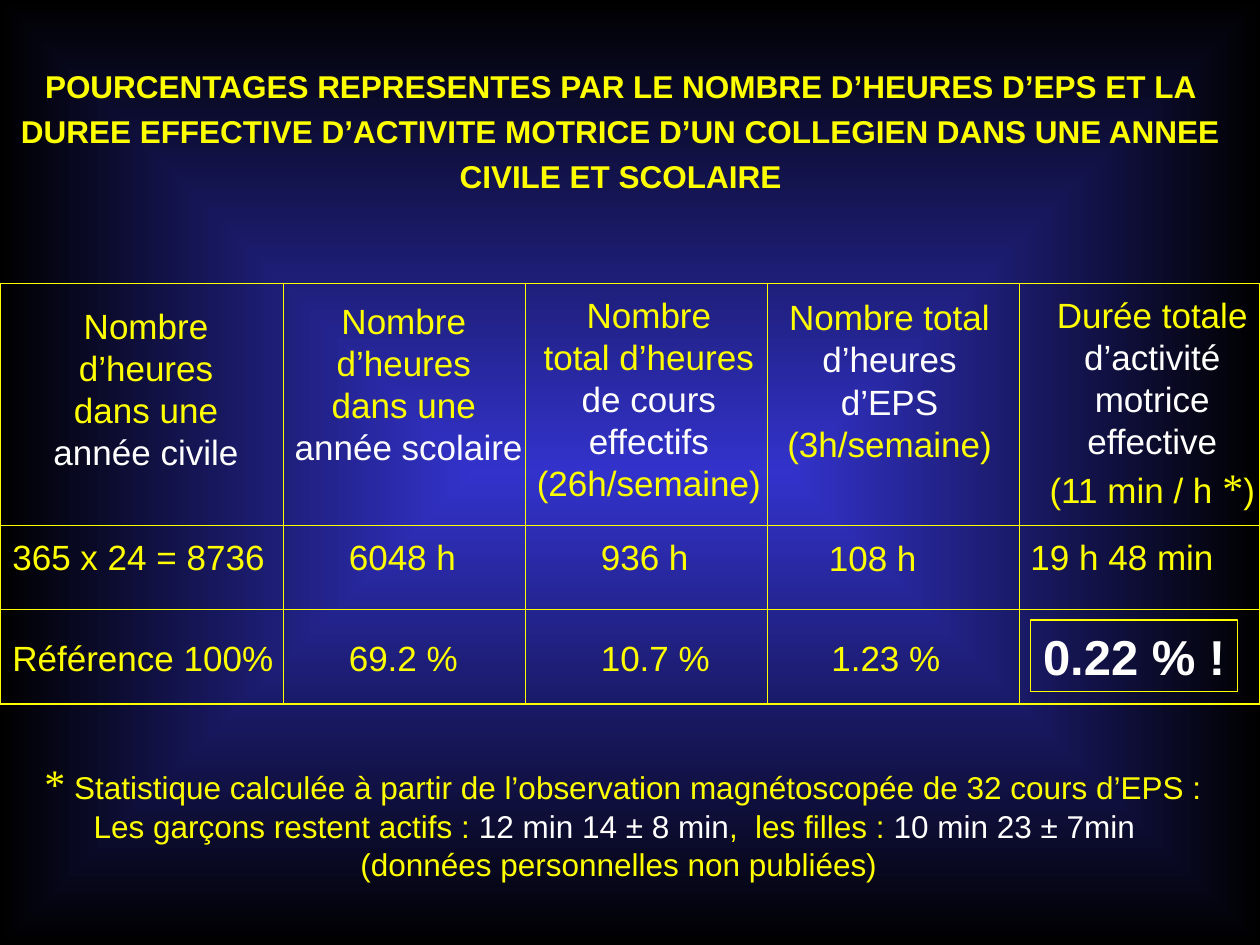
"""Build the slide on the share of PE hours in a pupil's year."""
from lxml import etree
from pptx import Presentation
from pptx import util as u
from pptx.dml.color import RGBColor
from pptx.enum import shapes, text
from pptx.oxml import ns

COLOURS = {"yellow": "FFFF00", "white": "FFFFFF", "blue": "3333CC", "black": "000000"}
BODY = {"name": "Arial", "size": u.Pt(20), "bold": False, "colour": "yellow"}
WHITE = {"colour": "white"}
NOTE = {"size": u.Pt(18)}
STAR = {"name": "Times New Roman", "size": u.Pt(24)}
FRAME = {"margin_top": u.Inches(0.05), "margin_bottom": u.Inches(0.05), "word_wrap": True,
         "vertical_anchor": text.MSO_ANCHOR.TOP,
         "auto_size": text.MSO_AUTO_SIZE.SHAPE_TO_FIT_TEXT}
WIDE, TIGHT, OPEN = (0.1, 0.1), (0.04, 0.04), (0.1, 0)
LEFT, CENTRE = text.PP_ALIGN.LEFT, text.PP_ALIGN.CENTER


def write(box, lines, align=LEFT, margins=OPEN, spacing=1.0):
    """Fill a box with lines, each a list of (words, format) pairs."""
    frame = box.text_frame
    frame.margin_left, frame.margin_right = map(u.Inches, margins)
    for key, value in FRAME.items():
        setattr(frame, key, value)
    for index, line in enumerate(lines):
        para = frame.add_paragraph() if index else frame.paragraphs[0]
        para.alignment, para.line_spacing = align, spacing
        for words, changes in line:
            span = para.add_run()
            span.text = words
            style = {**BODY, **changes}
            span.font.color.rgb = RGBColor.from_string(COLOURS[style.pop("colour")])
            for key, value in style.items():
                setattr(span.font, key, value)


def border(cell, side, width):
    """Draw one side of a table cell."""
    line = etree.SubElement(cell._tc.get_or_add_tcPr(), ns.qn(f"a:ln{side}"), w=str(u.Pt(width)))
    fill = etree.SubElement(line, ns.qn("a:solidFill"))
    etree.SubElement(fill, ns.qn("a:srgbClr"), val=COLOURS["yellow"])


deck = Presentation()
deck.slide_width, deck.slide_height = u.Inches(10), u.Inches(7.5)
page = deck.slides.add_slide(deck.slide_layouts[6])

backdrop = page.background.fill
backdrop.gradient()
for stop, name in zip(backdrop.gradient_stops, ("blue", "black")):
    stop.color.rgb = RGBColor.from_string(COLOURS[name])
linear = page.element.find(".//" + ns.qn("a:lin"))
shade = etree.Element(ns.qn("a:path"), path="rect")
etree.SubElement(shade, ns.qn("a:fillToRect"), l="50000", t="50000", r="50000", b="50000")
linear.getparent().replace(linear, shade)

title = page.shapes.add_textbox(u.Inches(0), u.Inches(0.42), u.Inches(9.85), u.Inches(1.18))
write(title, [[("POURCENTAGES REPRESENTES PAR LE NOMBRE D’HEURES D’EPS ET LA DUREE EFFECTIVE "
                "D’ACTIVITE MOTRICE D’UN COLLEGIEN DANS UNE ANNEE CIVILE ET SCOLAIRE",
                {**NOTE, "bold": True})]], CENTRE, WIDE, 1.2)

widths, heights = [2.25, 1.92, 1.92, 2, 1.91], [1.92, 0.67, 0.75]
table = page.shapes.add_table(len(heights), len(widths), u.Inches(0), u.Inches(2.25),
                              u.Inches(sum(widths)), u.Inches(sum(heights))).table
table.first_row = table.horz_banding = False
for column, width in zip(table.columns, widths):
    column.width = u.Inches(width)
for row, height in zip(table.rows, heights):
    row.height = u.Inches(height)
for r in range(len(heights)):
    for c in range(len(widths)):
        cell = table.cell(r, c)
        edges = {"L": c == 0, "R": c == len(widths) - 1, "T": r == 0, "B": r == len(heights) - 1}
        for side, outer in edges.items():
            border(cell, side, 1.08 if outer else 0.45)
        cell.fill.background()

headings = [
    (0.16, 2.37, 2, 1.44, WIDE,
     [[("Nombre d’heures", {})], [("dans une", {})], [("année civile", WHITE)]]),
    (2.16, 2.33, 2.09, 1.44, TIGHT,
     [[("Nombre", {})], [("d’heures", {})], [("dans une", {})], [(" année scolaire", WHITE)]]),
    (4.16, 2.28, 1.98, 1.77, TIGHT,
     [[("Nombre", {})], [("total d’heures", {})], [("de cours", WHITE)],
      [("effectifs", WHITE)], [("(26h/semaine)", {})]]),
    (6.15, 2.3, 1.82, 1.44, TIGHT,
     [[("Nombre total", {})], [("d’heures", WHITE)], [("d’EPS", WHITE)], [("(3h/semaine)", {})]]),
    (8.22, 2.28, 1.85, 1.84, TIGHT,
     [[("Durée totale", {})], [("d’activité", WHITE)], [("motrice", WHITE)],
      [("effective", WHITE)], [("(11 min / h ", {}), ("*", STAR), (")", {})]]),
]
for left, top, width, height, margins, lines in headings:
    box = page.shapes.add_textbox(*map(u.Inches, (left, top, width, height)))
    write(box, lines, CENTRE, margins)

values = [
    (0, 4.2, 2.2, "365 x 24 = 8736"), (2.67, 4.2, 1.05, "6048 h"), (4.67, 4.2, 0.89, "936 h"),
    (6.48, 4.21, 0.89, "108 h"), (8.08, 4.2, 1.65, "19 h 48 min"),
    (0, 5, 2.27, "Référence 100%"), (2.67, 5, 1.06, "69.2 %"), (4.67, 5, 1.06, "10.7 %"),
    (6.5, 5, 1.06, "1.23 %"),
]
for left, top, width, words in values:
    box = page.shapes.add_textbox(*map(u.Inches, (left, top, width, 0.44)))
    write(box, [[(words, {})]])

result = page.shapes.add_shape(shapes.MSO_SHAPE.RECTANGLE,
                               *map(u.Inches, (8.18, 4.92, 1.64, 0.57)))
result.shadow.inherit = False
result.fill.background()
result.line.color.rgb = RGBColor.from_string(COLOURS["yellow"])
result.line.width = u.Pt(0.75)
write(result, [[("0.22 % !", {**WHITE, "size": u.Pt(28), "bold": True})]])

footnote = page.shapes.add_textbox(u.Inches(0.07), u.Inches(5.96), u.Inches(9.68), u.Inches(1.4))
write(footnote, [
    [(" ", NOTE), ("*", STAR),
     (" Statistique calculée à partir de l’observation magnétoscopée de 32 cours d’EPS :", NOTE)],
    [("Les garçons restent actifs : ", NOTE), ("12 min 14 ± 8 min", {**NOTE, **WHITE}),
     (",  les filles : ", NOTE), ("10 min 23 ± 7min ", {**NOTE, **WHITE})],
    [("(données personnelles non publiées)", NOTE)],
], CENTRE, WIDE)

deck.save("out.pptx")
